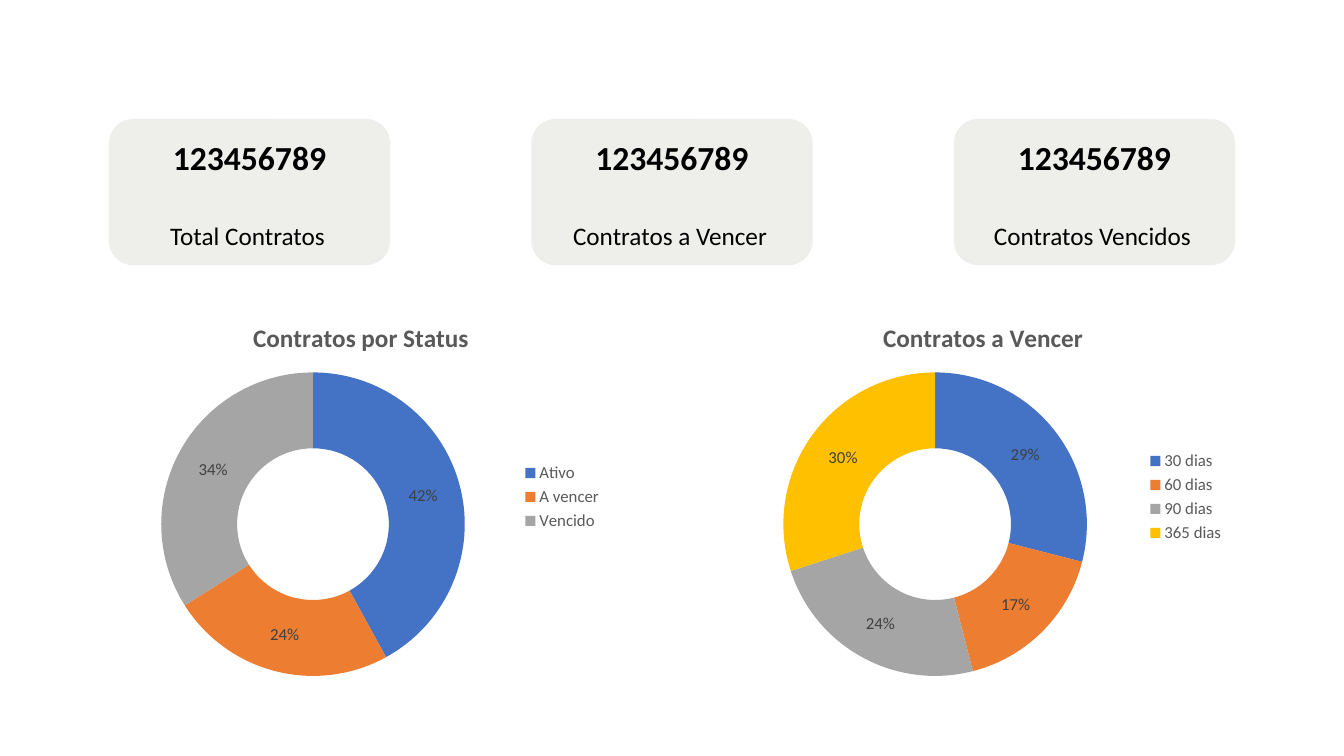
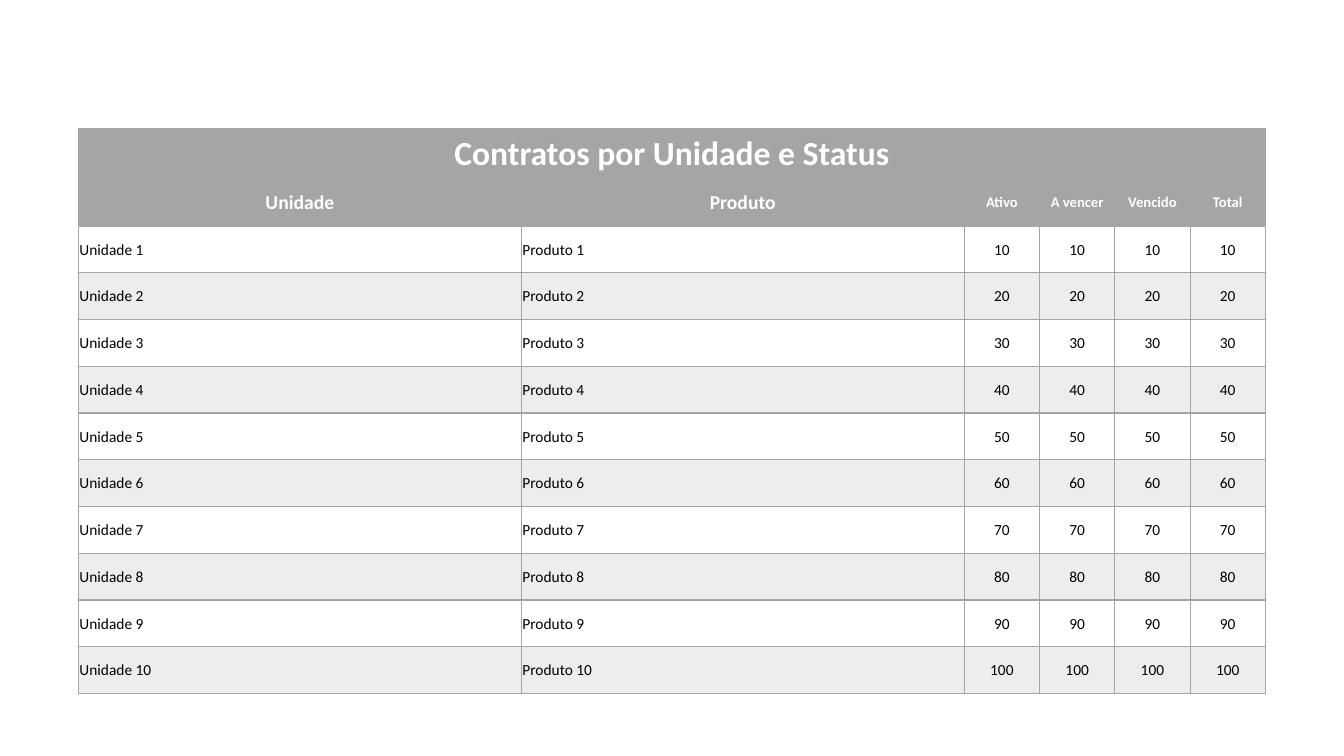
"""Build a two-slide contract dashboard: cards with doughnut charts, then a table."""
from dataclasses import dataclass

from lxml.etree import SubElement
from pptx import Presentation
from pptx.chart.data import CategoryChartData as ChartData
from pptx.dml.color import RGBColor as Rgb
from pptx.enum.chart import XL_CHART_TYPE as Kind, XL_LEGEND_POSITION as Side
from pptx.enum.shapes import MSO_SHAPE as Form
from pptx.enum.text import MSO_ANCHOR as Anchor, MSO_AUTO_SIZE as Fit, PP_ALIGN as Align
from pptx.oxml import parse_xml
from pptx.oxml.ns import nsdecls, qn
from pptx.util import Pt

CARDS = [
    ("123456789", "Total Contratos"),
    ("123456789", "Contratos a Vencer"),
    ("123456789", "Contratos Vencidos"),
]
CHARTS = [
    ("Contratos por Status", {"Ativo": 42, "A vencer": 24, "Vencido": 34}),
    ("Contratos a Vencer", {"30 dias": 29, "60 dias": 17, "90 dias": 24, "365 dias": 30}),
]
TITLE = "Contratos por Unidade e Status"
HEADS = ["Unidade", "Produto", "Ativo", "A vencer", "Vencido", "Total"]
ROWS = [[f"Unidade {n}", f"Produto {n}"] + [str(n * 10)] * 4 for n in range(1, 11)]


@dataclass(frozen=True)
class Theme:
    """Colours and type sizes of the deck."""
    font: str = "Calibri"
    white: str = "FFFFFF"
    black: str = "000000"
    card: str = "EEEFEA"
    grey: str = "A5A5A5"
    soft: str = "595959"
    dark: str = "404040"
    slices: tuple = ("4472C4", "ED7D31", "A5A5A5", "FFC000")
    big: float = 24
    mid: float = 18
    head: float = 14
    note: float = 12
    cell: float = 11
    small: float = 10.5
    base: float = 10


T = Theme()
WIDE, HIGH = 960, 540
EDGE = 77.8
PANEL = (32.4, 67.7, 895.2, 452.2)
CARD_TOP, CARD_W, CARD_H = 85, 200.9, 104.4
CHART_TOP, CHART_W, CHART_H = 216, 360, 278
RING = {"x": 0.1, "y": 0.18, "w": 0.61, "h": 0.78}
GRID_X, GRID_Y, ROW_H = 56, 92, 33.4
COLS = [316.4] * 2 + [53.8] * 4


def pts(*nums):
    return [Pt(num) for num in nums]


def style(font, size, color, bold=False):
    font.name, font.size, font.bold = T.font, Pt(size), bold
    font.color.rgb = Rgb.from_string(color)


def paint(fill, color):
    fill.solid()
    fill.fore_color.rgb = Rgb.from_string(color)


def fade(node, share):
    tint = node.find(qn("a:solidFill")).find(qn("a:srgbClr"))
    SubElement(tint, qn("a:alpha")).set("val", str(share * 1000))


def block(shapes, form, box, color):
    shape = shapes.add_shape(form, *pts(*box))
    shape.shadow.inherit = False
    paint(shape.fill, color)
    shape.line.fill.background()
    return shape


def page(deck):
    slide = deck.slides.add_slide(deck.slide_layouts[6])
    panel = block(slide.shapes, Form.RECTANGLE, PANEL, T.white)
    fade(panel.element.spPr, 90)
    paint(panel.line.fill, T.white)
    panel.line.width = Pt(1)
    return slide


def label(shapes, text, box, size, bold=False):
    frame = shapes.add_textbox(*pts(*box)).text_frame
    frame.word_wrap, frame.auto_size = True, Fit.SHAPE_TO_FIT_TEXT
    frame.text = text
    para = frame.paragraphs[0]
    para.alignment = Align.CENTER
    style(para.runs[0].font, size, T.black, bold)


def card(slide, left, value, name):
    shapes = slide.shapes.add_group_shape().shapes
    block(shapes, Form.ROUNDED_RECTANGLE, (left, CARD_TOP, CARD_W, CARD_H), T.card)
    label(shapes, value, (left, CARD_TOP + 9.3, CARD_W, 36.4), T.big, True)
    label(shapes, name, (left + 10.8, CARD_TOP + 69.1, 176.4, 29.1), T.mid)


def place(chart):
    area = chart.plots[0]._element.getparent()
    for old in area.findall(qn("c:layout")):
        area.remove(old)
    sizes = "".join(f'<c:{key} val="{val}"/>' for key, val in RING.items())
    area.insert(0, parse_xml(
        f'<c:layout {nsdecls("c")}><c:manualLayout><c:layoutTarget val="inner"/>'
        f'<c:xMode val="edge"/><c:yMode val="edge"/>{sizes}</c:manualLayout></c:layout>'))


def ring(slide, left, title, parts):
    data = ChartData()
    data.categories = list(parts)
    data.add_series("Series 1", list(parts.values()))
    box = pts(left, CHART_TOP, CHART_W, CHART_H)
    chart = slide.shapes.add_chart(Kind.DOUGHNUT, *box, data).chart
    style(chart.font, T.base, T.black)
    chart.has_title = True
    frame = chart.chart_title.text_frame
    frame.text = title
    style(frame.paragraphs[0].runs[0].font, T.mid, T.soft, True)
    chart.has_legend = True
    chart.legend.position = Side.RIGHT
    chart.legend.include_in_layout = False
    style(chart.legend.font, T.note, T.soft)
    plot = chart.plots[0]
    plot.vary_by_categories = True
    for spot, color in zip(range(len(parts)), T.slices):
        paint(plot.series[0].points[spot].format.fill, color)
    tags = plot.series[0].data_labels
    tags.show_percentage, tags.show_value = True, False
    tags.number_format, tags.number_format_is_linked = "0%", False
    style(tags.font, T.note, T.dark)
    place(chart)


def border(cell, foot=1):
    props = cell._tc.get_or_add_tcPr()
    for spot, side in enumerate("LRTB"):
        width = Pt(foot if side == "B" else 1)
        props.insert(spot, parse_xml(
            f'<a:ln{side} {nsdecls("a")} w="{width}"><a:solidFill>'
            f'<a:srgbClr val="{T.grey}"/></a:solidFill></a:ln{side}>'))


def write(cell, text, row, col):
    body = row > 1
    if body:
        cell.margin_left = cell.margin_right = cell.margin_top = Pt(0.72)
        cell.margin_bottom = Pt(0)
        size = T.cell
    else:
        size = T.big if row == 0 else T.head if col < 2 else T.small
    cell.vertical_anchor = Anchor.MIDDLE
    cell.text = text
    para = cell.text_frame.paragraphs[0]
    para.alignment = Align.LEFT if body and col < 2 else Align.CENTER
    for run in para.runs:
        style(run.font, size, T.black if body else T.white, not body)
    if body and row % 2 == 0:
        cell.fill.background()
    else:
        paint(cell.fill, T.grey)
        if body:
            fade(cell._tc.tcPr, 20)
    border(cell, 1 if row else 2)


def grid(slide):
    lines = [[TITLE] + [""] * (len(COLS) - 1), HEADS] + ROWS
    box = pts(GRID_X, GRID_Y, sum(COLS), ROW_H * len(lines))
    table = slide.shapes.add_table(len(lines), len(COLS), *box).table
    table.first_row = table.horz_banding = False
    for col, width in zip(table.columns, COLS):
        col.width = Pt(width)
    for row, line in enumerate(lines):
        table.rows[row].height = Pt(ROW_H)
        for col, text in enumerate(line):
            write(table.cell(row, col), text, row, col)
    table.cell(0, 0).merge(table.cell(0, len(COLS) - 1))


def spread(count, width):
    step = (WIDE - 2 * EDGE - width) / (count - 1)
    return [EDGE + step * spot for spot in range(count)]


def main():
    deck = Presentation()
    deck.slide_width, deck.slide_height = pts(WIDE, HIGH)
    board = page(deck)
    for left, texts in zip(spread(len(CARDS), CARD_W), CARDS):
        card(board, left, *texts)
    for left, (title, parts) in zip(spread(len(CHARTS), CHART_W), CHARTS):
        ring(board, left, title, parts)
    grid(page(deck))
    deck.save("out.pptx")


main()
